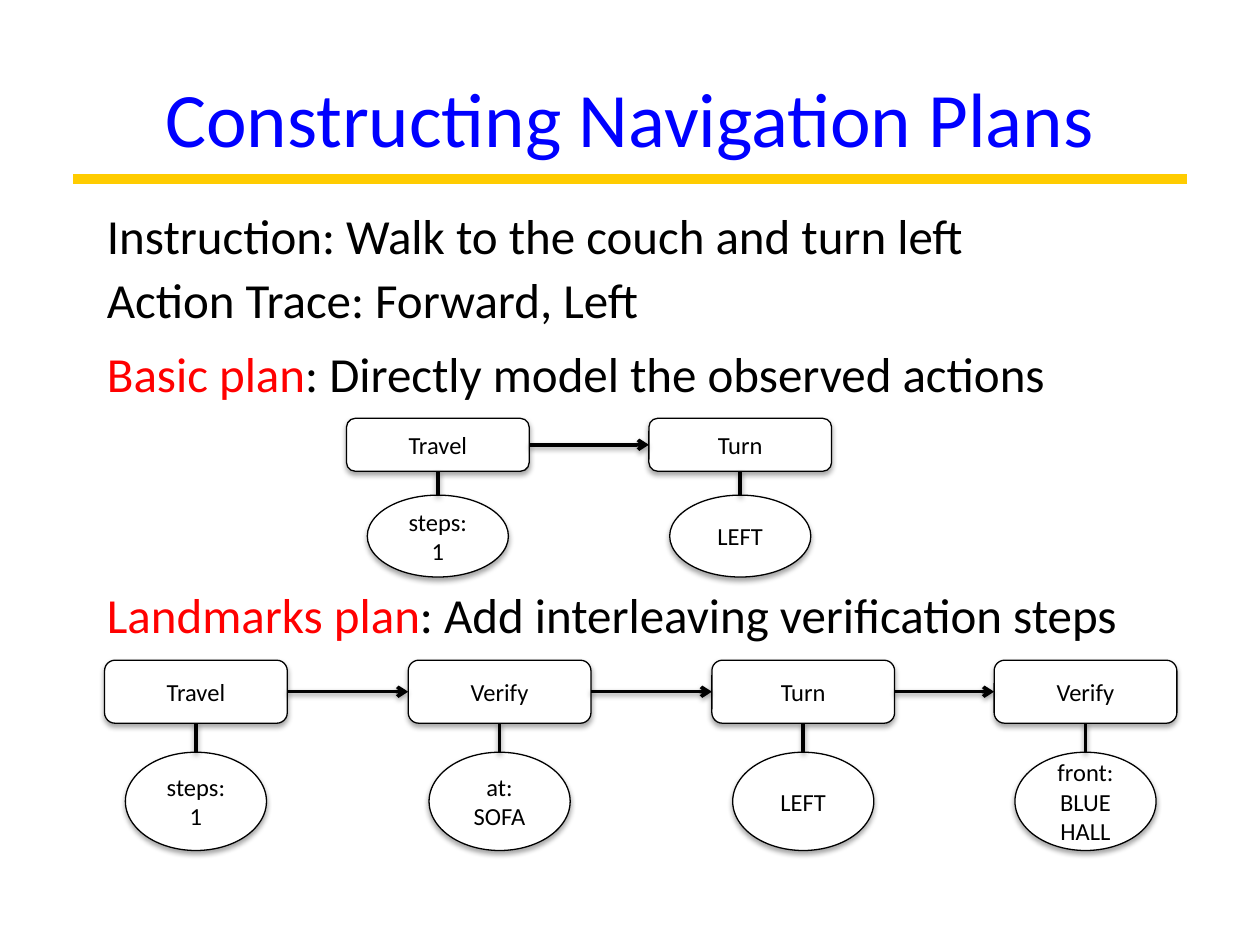
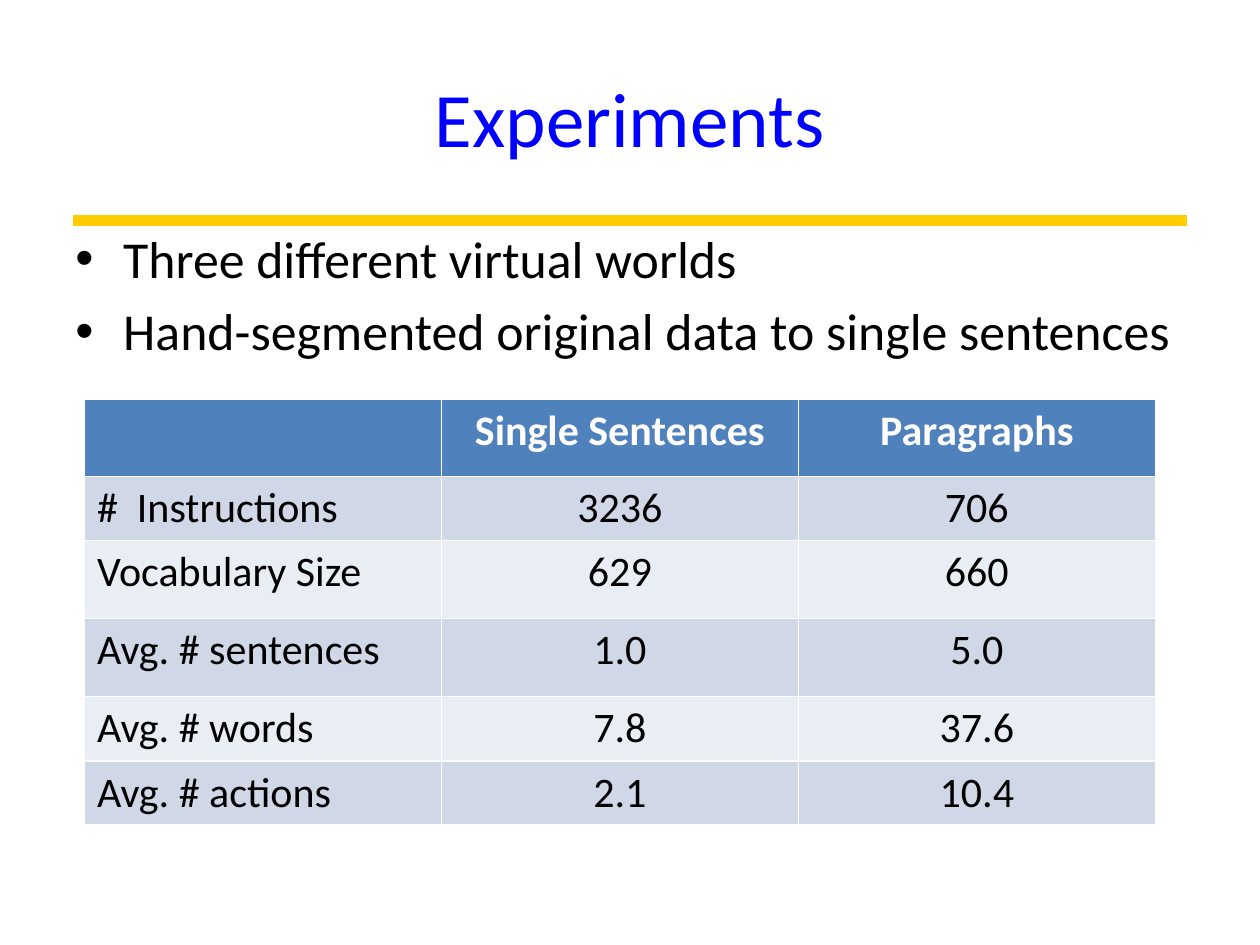
from dataclasses import dataclass

from lxml import etree
from pptx import Presentation
from pptx.dml.color import RGBColor
from pptx.enum.shapes import MSO_CONNECTOR, MSO_SHAPE
from pptx.enum.text import MSO_ANCHOR, PP_ALIGN
from pptx.oxml.ns import qn
from pptx.util import Inches, Pt

CENTER, LEFT = PP_ALIGN.CENTER, PP_ALIGN.LEFT
MIDDLE = MSO_ANCHOR.MIDDLE
ROUNDED, OVAL = MSO_SHAPE.ROUNDED_RECTANGLE, MSO_SHAPE.OVAL
STRAIGHT = MSO_CONNECTOR.STRAIGHT
TOP_SITE, LEFT_SITE, BOTTOM_SITE, RIGHT_SITE = range(4)

FONT = "Calibri"
BLACK, WHITE = "000000", "FFFFFF"
TITLE_BLUE, RULE_GOLD, LABEL_RED = "0000FF", "FFCC00", "FF0000"
HEADER_FILL = "4F81BD"
BAND_FILLS = ("D0D8E8", "E9EDF4")

SLIDE_WIDTH, SLIDE_HEIGHT = Inches(10), Inches(7.5)
COLUMN, ROW = SLIDE_WIDTH / 100, SLIDE_HEIGHT / 75

ACTION_WIDTH, ARGUMENT_WIDTH = 14.5, 11.2


@dataclass(frozen=True)
class Step:
    left: float
    action: str
    argument: str


@dataclass(frozen=True)
class Plan:
    top: float
    action_height: float
    stem: float
    argument_height: float
    steps: tuple[Step, ...]


@dataclass(frozen=True)
class Statement:
    top: float
    label: str
    text: str


STATEMENTS = (
    Statement(15.8, "", "Instruction: Walk to the couch and turn left"),
    Statement(20.9, "", "Action Trace: Forward, Left"),
    Statement(26.8, "Basic plan", ": Directly model the observed actions"),
    Statement(45.9, "Landmarks plan", ": Add interleaving verification steps"),
)

PLANS = (
    Plan(33.2, 4.2, 1.9, 6.5, (
        Step(27.5, "Travel", "steps: 1"),
        Step(51.5, "Turn", "LEFT"),
    )),
    Plan(52.4, 5, 2.3, 7.8, (
        Step(8.3, "Travel", "steps: 1"),
        Step(32.4, "Verify", "at: SOFA"),
        Step(56.5, "Turn", "LEFT"),
        Step(78.9, "Verify", "front: BLUE\nHALL"),
    )),
)

BULLETS = (
    "Three different virtual worlds",
    "Hand-segmented original data to single sentences",
)

STATISTICS = (
    ("", "Single Sentences", "Paragraphs"),
    ("#  Instructions", "3236", "706"),
    ("Vocabulary Size", "629", "660"),
    ("Avg. # sentences", "1.0", "5.0"),
    ("Avg. # words", "7.8", "37.6"),
    ("Avg. # actions", "2.1", "10.4"),
)
STATISTICS_HEIGHTS = (6.1, 5.1, 6.2, 6.2, 5.1, 5.1)


def color(value: str) -> RGBColor:
    return RGBColor.from_string(value)


def place(left: float, top: float, width: float, height: float) -> tuple[int, ...]:
    """Turn grid columns and rows into slide lengths."""
    return (round(left * COLUMN), round(top * ROW),
            round(width * COLUMN), round(height * ROW))


def format_font(font, size: float, hex_color: str, bold: bool = False) -> None:
    font.name, font.size, font.bold = FONT, Pt(size), bold
    font.color.rgb = color(hex_color)


def format_text(text_frame, size: float, hex_color: str, alignment=LEFT,
                bold: bool = False) -> None:
    for paragraph in text_frame.paragraphs:
        paragraph.alignment = alignment
        for run in paragraph.runs:
            format_font(run.font, size, hex_color, bold)


def set_shadow(shape, opacity: int = 0, distance: float = 0) -> None:
    """Give a formatted shape a soft shadow below, or none at zero opacity."""
    effects = etree.SubElement(shape.element.spPr, qn("a:effectLst"))
    if opacity:
        shadow = etree.SubElement(
            effects, qn("a:outerShdw"), blurRad=str(Pt(3.1)),
            dist=str(Pt(distance)), dir="5400000", rotWithShape="0")
        tint = etree.SubElement(shadow, qn("a:srgbClr"), val=BLACK)
        etree.SubElement(tint, qn("a:alpha"), val=str(opacity * 1000))


def add_titled_slide(presentation, title: str, rule_top: float):
    slide = presentation.slides.add_slide(presentation.slide_layouts[5])
    shape = slide.shapes.title
    shape.left, shape.top, shape.width, shape.height = place(5, 3, 90, 12.5)
    shape.text_frame.text = title
    shape.text_frame.vertical_anchor = MIDDLE
    format_text(shape.text_frame, 44, TITLE_BLUE, CENTER)

    left, top, right, _ = place(5.8, rule_top, 94.2, 0)
    rule = slide.shapes.add_connector(STRAIGHT, left, top, right, top)
    rule.line.color.rgb = color(RULE_GOLD)
    rule.line.width = Pt(6)
    set_shadow(rule)
    return slide


def add_statement(slide, statement: Statement) -> None:
    box = slide.shapes.add_textbox(*place(7.5, statement.top, 85.1, 5.7))
    box.text_frame.word_wrap = True
    paragraph = box.text_frame.paragraphs[0]
    for text, hex_color in ((statement.label, LABEL_RED), (statement.text, BLACK)):
        if text:
            run = paragraph.add_run()
            run.text = text
            format_font(run.font, 28, hex_color)


def add_node(slide, kind, text: str, bounds: tuple[int, ...]):
    node = slide.shapes.add_shape(kind, *bounds)
    node.fill.solid()
    node.fill.fore_color.rgb = color(WHITE)
    node.line.color.rgb = color(BLACK)
    node.line.width = Pt(0.75)
    set_shadow(node, 35, 1.8)
    node.text_frame.text = text
    node.text_frame.word_wrap = True
    node.text_frame.vertical_anchor = MIDDLE
    format_text(node.text_frame, 14, BLACK, CENTER)
    return node


def link(slide, start, start_site: int, end, end_site: int, arrow: bool) -> None:
    connector = slide.shapes.add_connector(STRAIGHT, 0, 0, 0, 0)
    connector.begin_connect(start, start_site)
    connector.end_connect(end, end_site)
    connector.line.color.rgb = color(BLACK)
    connector.line.width = Pt(2)
    if arrow:
        outline = connector.element.spPr.find(qn("a:ln"))
        etree.SubElement(outline, qn("a:tailEnd"), type="arrow")
    set_shadow(connector, 38, 1.6)


def add_plan(slide, plan: Plan) -> None:
    """Draw a chain of actions, each with its argument hanging below."""
    argument_top = plan.top + plan.action_height + plan.stem
    inset = (ACTION_WIDTH - ARGUMENT_WIDTH) / 2
    previous = None
    for step in plan.steps:
        action = add_node(slide, ROUNDED, step.action, place(
            step.left, plan.top, ACTION_WIDTH, plan.action_height))
        argument = add_node(slide, OVAL, step.argument, place(
            step.left + inset, argument_top, ARGUMENT_WIDTH, plan.argument_height))
        link(slide, action, BOTTOM_SITE, argument, TOP_SITE, arrow=False)
        if previous is not None:
            link(slide, previous, RIGHT_SITE, action, LEFT_SITE, arrow=True)
        previous = action


def add_bullets(slide, bullets: tuple[str, ...]) -> None:
    box = slide.shapes.add_textbox(*place(5, 17.5, 90, 14.2))
    box.text_frame.word_wrap = True
    box.text_frame.text = "\n".join(bullets)
    for index, paragraph in enumerate(box.text_frame.paragraphs):
        properties = paragraph._p.get_or_add_pPr()
        properties.set("marL", str(Inches(0.38)))
        properties.set("indent", str(-Inches(0.38)))
        etree.SubElement(properties, qn("a:buFont"), typeface="Arial")
        etree.SubElement(properties, qn("a:buChar"), char="•")
        if index:
            paragraph.space_before = Pt(5.9)
    format_text(box.text_frame, 29.6, BLACK)


def add_statistics(slide) -> None:
    table = slide.shapes.add_table(
        len(STATISTICS), len(STATISTICS[0]),
        *place(6.7, 31.7, 85, sum(STATISTICS_HEIGHTS))).table
    for row_index, values in enumerate(STATISTICS):
        header = row_index == 0
        table.rows[row_index].height = round(STATISTICS_HEIGHTS[row_index] * ROW)
        fill = HEADER_FILL if header else BAND_FILLS[(row_index - 1) % 2]
        for column_index, value in enumerate(values):
            cell = table.cell(row_index, column_index)
            cell.fill.solid()
            cell.fill.fore_color.rgb = color(fill)
            cell.text_frame.text = value
            format_text(cell.text_frame, 24, WHITE if header else BLACK,
                        CENTER if column_index else LEFT, bold=header)


def main() -> None:
    presentation = Presentation()
    presentation.slide_width, presentation.slide_height = SLIDE_WIDTH, SLIDE_HEIGHT

    plans_slide = add_titled_slide(presentation, "Constructing Navigation Plans", 14.2)
    for statement in STATEMENTS:
        add_statement(plans_slide, statement)
    for plan in PLANS:
        add_plan(plans_slide, plan)

    experiments_slide = add_titled_slide(presentation, "Experiments", 17.5)
    add_statistics(experiments_slide)
    add_bullets(experiments_slide, BULLETS)

    presentation.save("out.pptx")


if __name__ == "__main__":
    main()
